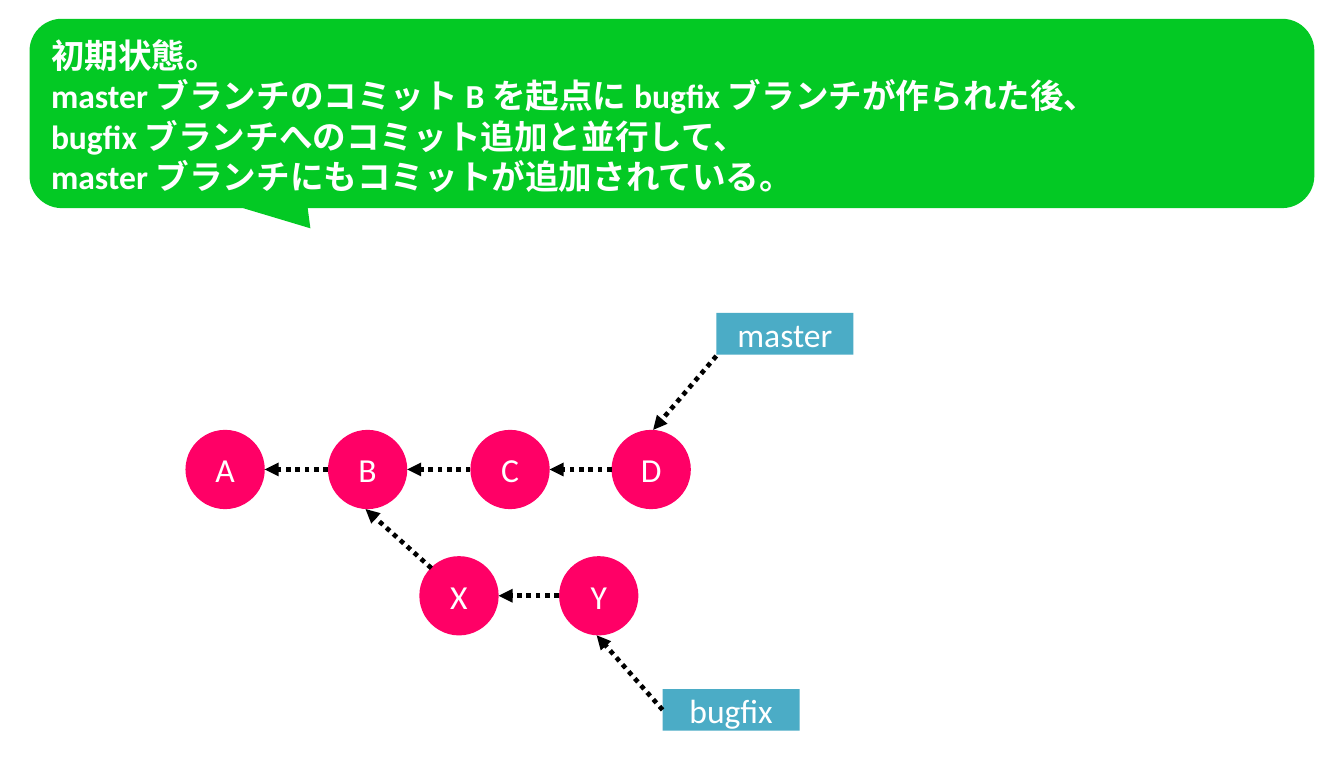
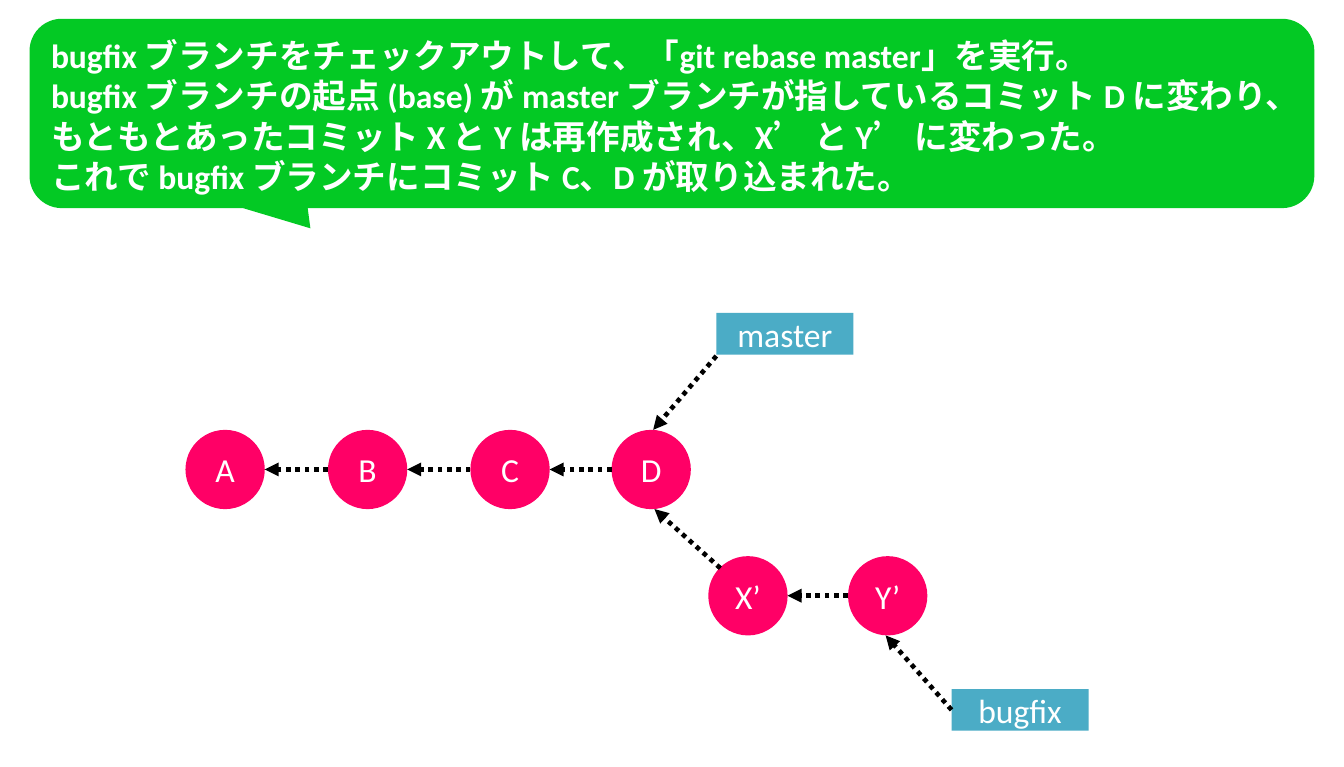
import math

from lxml import etree
from pptx import Presentation
from pptx.dml.color import RGBColor
from pptx.enum.dml import MSO_LINE
from pptx.enum.shapes import MSO_CONNECTOR, MSO_SHAPE
from pptx.enum.text import MSO_ANCHOR, PP_ALIGN
from pptx.oxml.ns import qn
from pptx.util import Inches, Pt

OVAL = MSO_SHAPE.OVAL
RECTANGLE = MSO_SHAPE.RECTANGLE
STRAIGHT = MSO_CONNECTOR.STRAIGHT
DOTTED = MSO_LINE.ROUND_DOT
TOP, MIDDLE = MSO_ANCHOR.TOP, MSO_ANCHOR.MIDDLE
LEFT, CENTER = PP_ALIGN.LEFT, PP_ALIGN.CENTER

LEFT_SIDE = 1
COMMIT_SIZE = 0.59
LABEL_WIDTH, LABEL_HEIGHT = 1.02, 0.31
MASTER_TOP, BUGFIX_TOP = 3.2, 4.14
MASTER_COMMITS = [("A", 1.38), ("B", 2.44), ("C", 3.5), ("D", 4.55)]


def color(value):
    return RGBColor.from_string(value)


def rounded_corners(left, top, right, bottom, radius, steps=12):
    """Points of four corner arcs, clockwise from the top left."""
    centers = [(left + radius, top + radius), (right - radius, top + radius),
               (right - radius, bottom - radius), (left + radius, bottom - radius)]
    corners = []
    for quarter, (x, y) in enumerate(centers):
        angles = [math.pi * (1 + (quarter + step / steps) / 2)
                  for step in range(steps + 1)]
        corners.append([(x + radius * math.cos(a), y + radius * math.sin(a))
                        for a in angles])
    return corners


class BranchDiagram:
    FONT = "Calibri"
    SIZE = Pt(18)
    TEXT = "FFFFFF"
    BUBBLE = "03C924"
    COMMIT = "FF0066"
    LABEL = "4BACC6"
    ARROW = "000000"

    def __init__(self, deck):
        self.deck = deck
        self.slide = None

    def new_slide(self):
        self.slide = self.deck.slides.add_slide(self.deck.slide_layouts[6])

    def paint(self, shape, fill):
        shape.shadow.inherit = False
        shape.fill.solid()
        shape.fill.fore_color.rgb = color(fill)
        shape.line.fill.background()

    def put_text(self, shape, lines, align=CENTER, anchor=MIDDLE, bold=False):
        frame = shape.text_frame
        frame.word_wrap = True
        frame.vertical_anchor = anchor
        for number, line in enumerate(lines):
            paragraph = frame.add_paragraph() if number else frame.paragraphs[0]
            paragraph.alignment = align
            run = paragraph.add_run()
            run.text = line
            run.font.name = self.FONT
            run.font.size = self.SIZE
            run.font.bold = bold
            run.font.color.rgb = color(self.TEXT)

    def bubble(self, lines):
        """Rounded speech bubble with a pointer on its lower edge."""
        corners = rounded_corners(0.22, 0.14, 9.78, 1.55, 0.24)
        pointer = [(2.29, 1.55), (2.31, 1.7), (1.81, 1.55)]
        outline = sum(corners[:3], []) + pointer + corners[3]
        points = [(Inches(x), Inches(y)) for x, y in outline]
        builder = self.slide.shapes.build_freeform(*points[0])
        builder.add_line_segments(points[1:], close=True)
        speech = builder.convert_to_shape()
        self.paint(speech, self.BUBBLE)
        frame = speech.text_frame
        frame.margin_left = frame.margin_right = Inches(0.16)
        frame.margin_top = Inches(0.12)
        frame.margin_bottom = 0
        self.put_text(speech, lines, LEFT, TOP, bold=True)

    def box(self, kind, text, left, top, width, height, fill):
        shape = self.slide.shapes.add_shape(
            kind, Inches(left), Inches(top), Inches(width), Inches(height))
        self.paint(shape, fill)
        self.put_text(shape, [text])
        return shape

    def label(self, text, left, top):
        return self.box(RECTANGLE, text, left, top,
                        LABEL_WIDTH, LABEL_HEIGHT, self.LABEL)

    def arrow(self, start, end):
        link = self.slide.shapes.add_connector(
            STRAIGHT, *(Inches(value) for value in start + end))
        link.line.color.rgb = color(self.ARROW)
        link.line.width = Pt(2.5)
        link.line.dash_style = DOTTED
        properties = link._element.spPr
        etree.SubElement(properties.find(qn("a:ln")), qn("a:tailEnd"), type="triangle")
        etree.SubElement(properties, qn("a:effectLst"))
        return link

    def commits(self, chain, top):
        """Row of commits, each pointing to its parent on the left."""
        for name, left in chain:
            self.box(OVAL, name, left, top, COMMIT_SIZE, COMMIT_SIZE, self.COMMIT)
        middle = top + COMMIT_SIZE / 2
        for (_, parent), (_, child) in zip(chain, chain[1:]):
            self.arrow((child, middle), (parent + COMMIT_SIZE, middle))


def history(diagram, explanation, names, shift):
    """One state of the history; shift moves the bugfix branch to its base."""
    diagram.new_slide()

    # master branch
    diagram.commits(MASTER_COMMITS, MASTER_TOP)
    diagram.arrow((5.33, 2.65), (4.86, MASTER_TOP))
    diagram.label("master", 5.33, 2.33)

    # bugfix branch
    lefts = [3.12 + shift, 4.16 + shift]
    diagram.commits(list(zip(names, lefts)), BUGFIX_TOP)
    diagram.arrow((3.21 + shift, 4.23), (2.72 + shift, MASTER_TOP + COMMIT_SIZE))
    bugfix = diagram.label("bugfix", 4.93 + shift, 5.13)
    pointer = diagram.arrow((4.93 + shift, 5.28),
                            (4.44 + shift, BUGFIX_TOP + COMMIT_SIZE))
    pointer.begin_connect(bugfix, LEFT_SIDE)

    # explanation
    diagram.bubble(explanation)


def main():
    deck = Presentation()
    deck.slide_width, deck.slide_height = Inches(10), Inches(5.71)
    diagram = BranchDiagram(deck)

    # before the rebase
    history(diagram, [
        "初期状態。",
        "master ブランチのコミット B を起点に bugfix ブランチが作られた後、",
        "bugfix ブランチへのコミット追加と並行して、",
        "master ブランチにもコミットが追加されている。",
    ], ["X", "Y"], 0)

    # after the rebase
    history(diagram, [
        "bugfix ブランチをチェックアウトして、「git rebase master」を実行。",
        "bugfix ブランチの起点 (base) が master ブランチが指しているコミット D に変わり、"
        "もともとあったコミット X と Y は再作成され、X’ と Y’ に変わった。",
        "これで bugfix ブランチにコミット C、D が取り込まれた。",
    ], ["X’", "Y’"], 2.15)

    deck.save("out.pptx")


if __name__ == "__main__":
    main()
